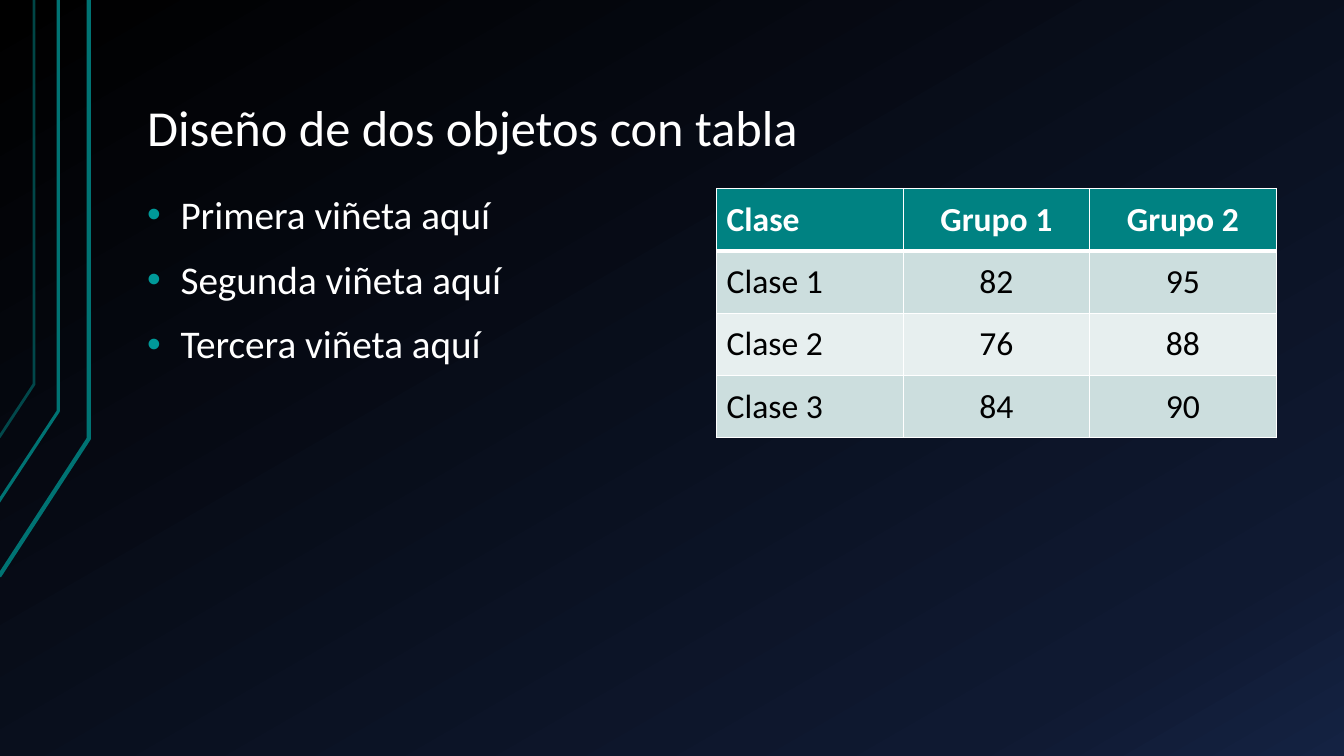
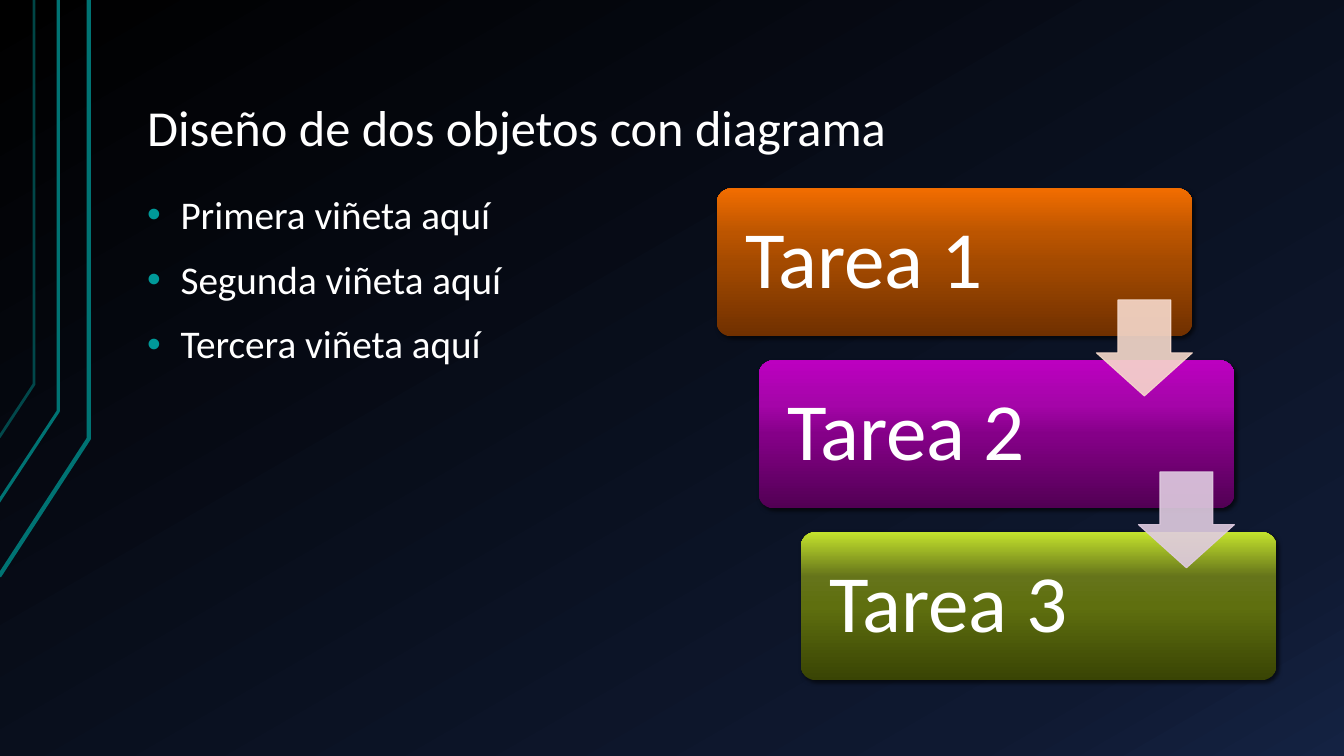
"""Build two dark slides: bullets beside a table, and bullets beside a task staircase."""
from lxml import etree
from pptx import Presentation, util as u
from pptx.dml.color import RGBColor
from pptx.enum import shapes, text
from pptx.oxml import ns

COLORS = {
    "white": "FFFFFF", "black": "000000", "line": "007373", "bullet": "009999",
    "header": "008282", "odd_row": "CCDEDE", "even_row": "E7EFEF",
}
FONT = "Calibri"
BACKGROUND = [(0, "000000"), (85, "0F1931"), (100, "142242")]
BULLETS = ["Primera viñeta aquí", "Segunda viñeta aquí", "Tercera viñeta aquí"]
SCORES = [
    ["Clase", "Grupo 1", "Grupo 2"],
    ["Clase 1", "82", "95"],
    ["Clase 2", "76", "88"],
    ["Clase 3", "84", "90"],
]
TASKS = [
    ("Tarea 1", ["703000", "A44A00", "BC5500", "F26D00"]),
    ("Tarea 2", ["520054", "850088", "A505A9", "BC00C0"]),
    ("Tarea 3", ["394404", "5F6F0F", "65741A", "C4E32D"]),
]
ARROWS = ["F7DACC", "E0CCE1"]
SIDE_LINES = [
    ([(-0.02, 14.52), (2.24, 11.05), (2.24, 0)], 3, 100),
    ([(-0.05, 12.67), (1.47, 10.36), (1.47, 0)], 2.25, 100),
    ([(-0.02, 11.02), (0.86, 9.68), (0.86, 0)], 2, 60),
]
CONTENT_TOP = 4.75
RIGHT_LEFT = 18.06


def rgb(value):
    return RGBColor.from_string(value)


def add_node(parent, tag, **attributes):
    node = etree.SubElement(parent, ns.qn(tag))
    for name, value in attributes.items():
        node.set(name, str(value))
    return node


def paint_gradient(owner, fill, stops, angle):
    fill.gradient()
    fill.gradient_angle = 360 - angle
    stop_list = next(owner._element.iter(ns.qn("a:gsLst")))
    for stop in list(stop_list):
        stop_list.remove(stop)
    for position, color in stops:
        stop = add_node(stop_list, "a:gs", pos=position * 1000)
        add_node(stop, "a:srgbClr", val=color)


def set_opacity(shape, percent):
    for color in shape._element.spPr.iter(ns.qn("a:srgbClr")):
        add_node(color, "a:alpha", val=percent * 1000)


def add_shadow(shape):
    shape.shadow.inherit = False
    effects = shape._element.spPr.find(ns.qn("a:effectLst"))
    shadow = add_node(effects, "a:outerShdw", blurRad=u.Pt(3), dist=u.Pt(2),
                      dir=45 * 60000, algn="ctr", rotWithShape=0)
    add_node(add_node(shadow, "a:srgbClr", val=COLORS["black"]), "a:alpha", val=60000)


def add_bullet(para):
    indent = u.Cm(0.84)
    properties = para._p.get_or_add_pPr()
    properties.set("marL", str(indent))
    properties.set("indent", str(-indent))
    add_node(add_node(properties, "a:buClr"), "a:srgbClr", val=COLORS["bullet"])
    add_node(properties, "a:buFont", typeface="Arial")
    add_node(properties, "a:buChar", char="•")


def write(frame, lines, size, color=COLORS["white"], bold=False, spacing=None,
          before=None, align=text.PP_ALIGN.LEFT, bullet=False):
    for index, line in enumerate(lines):
        para = frame.add_paragraph() if index else frame.paragraphs[0]
        para.alignment = align
        para.line_spacing = spacing
        if before is not None:
            para.space_before = u.Pt(before)
        if bullet:
            add_bullet(para)
        span = para.add_run()
        span.text = line
        span.font.name = FONT
        span.font.size = u.Pt(size)
        span.font.bold = bold
        span.font.color.rgb = rgb(color)


def set_frame(frame, anchor, side, edge):
    frame.word_wrap = True
    frame.vertical_anchor = anchor
    frame.margin_left = frame.margin_right = u.Cm(side)
    frame.margin_top = frame.margin_bottom = u.Cm(edge)


def add_text(page, left, top, width, height, lines, anchor, **style):
    box = page.shapes.add_textbox(u.Cm(left), u.Cm(top), u.Cm(width), u.Cm(height))
    set_frame(box.text_frame, anchor, side=0.33, edge=0.18)
    write(box.text_frame, lines, spacing=0.9, **style)


def add_side_line(page, points, width, opacity):
    start, *rest = [(u.Cm(x), u.Cm(y)) for x, y in points]
    builder = page.shapes.build_freeform(*start)
    builder.add_line_segments(rest, close=False)
    outline = builder.convert_to_shape()
    outline.shadow.inherit = False
    outline.fill.background()
    outline.line.color.rgb = rgb(COLORS["line"])
    outline.line.width = u.Pt(width)
    if opacity < 100:
        set_opacity(outline, opacity)


def add_page(deck, title):
    page = deck.slides.add_slide(deck.slide_layouts[6])
    for points, width, opacity in SIDE_LINES:
        add_side_line(page, points, width, opacity)
    add_text(page, 3.38, 0.76, 28.78, 3.4, [title], text.MSO_ANCHOR.BOTTOM, size=36)
    add_text(page, 3.38, CONTENT_TOP, 14.1, 12.4, BULLETS, text.MSO_ANCHOR.TOP,
             size=28, before=16, bullet=True)
    return page


def set_borders(cell, **widths):
    properties = cell._tc.get_or_add_tcPr()
    for index, side in enumerate("LRTB"):
        border = add_node(properties, f"a:ln{side}", w=u.Pt(widths.get(side, 1)))
        add_node(add_node(border, "a:solidFill"), "a:srgbClr", val=COLORS["white"])
        properties.insert(index, border)


def add_score_table(page, rows, column_width=4.7, row_height=1.57):
    columns = len(rows[0])
    table = page.shapes.add_table(
        len(rows), columns, u.Cm(RIGHT_LEFT), u.Cm(CONTENT_TOP),
        u.Cm(column_width * columns), u.Cm(row_height * len(rows))).table
    for row, values in enumerate(rows):
        header = row == 0
        fill = "header" if header else "odd_row" if row % 2 else "even_row"
        for column, value in enumerate(values):
            cell = table.cell(row, column)
            cell.vertical_anchor = text.MSO_ANCHOR.MIDDLE
            cell.fill.solid()
            cell.fill.fore_color.rgb = rgb(COLORS[fill])
            set_borders(cell, B=3 if header else 1, T=3 if row == 1 else 1)
            write(cell.text_frame, [value], size=24, bold=header,
                  color=COLORS["white" if header else "black"],
                  align=text.PP_ALIGN.CENTER if column else text.PP_ALIGN.LEFT)


def add_task(page, left, top, label, colors):
    box = page.shapes.add_shape(shapes.MSO_SHAPE.ROUNDED_RECTANGLE,
                                u.Cm(left), u.Cm(top), u.Cm(11.99), u.Cm(3.73))
    box.adjustments[0] = 0.1
    paint_gradient(box, box.fill, zip((0, 50, 70, 100), colors), angle=270)
    box.line.fill.background()
    add_shadow(box)
    set_frame(box.text_frame, text.MSO_ANCHOR.MIDDLE, side=0.61, edge=0.61)
    write(box.text_frame, [label], size=58, spacing=0.9)


def add_arrow(page, left, top, color):
    arrow = page.shapes.add_shape(shapes.MSO_SHAPE.DOWN_ARROW,
                                  u.Cm(left), u.Cm(top), u.Cm(2.42), u.Cm(2.42))
    arrow.adjustments[0] = 0.55
    arrow.adjustments[1] = 0.45
    arrow.shadow.inherit = False
    arrow.fill.solid()
    arrow.fill.fore_color.rgb = rgb(color)
    arrow.line.color.rgb = rgb(color)
    arrow.line.width = u.Pt(0.75)
    set_opacity(arrow, 90)


def add_staircase(page, step_x=1.06, step_y=4.33):
    for index, (label, colors) in enumerate(TASKS):
        add_task(page, RIGHT_LEFT + index * step_x, CONTENT_TOP + index * step_y,
                 label, colors)
    for index, color in enumerate(ARROWS):
        add_arrow(page, 27.63 + index * step_x, 7.56 + index * step_y, color)


def main():
    deck = Presentation()
    deck.slide_width, deck.slide_height = u.Cm(33.87), u.Cm(19.05)
    master = deck.slide_master
    paint_gradient(master, master.background.fill, BACKGROUND, angle=60)
    add_score_table(add_page(deck, "Diseño de dos objetos con tabla"), SCORES)
    add_staircase(add_page(deck, "Diseño de dos objetos con diagrama"))
    deck.save("out.pptx")


if __name__ == "__main__":
    main()
